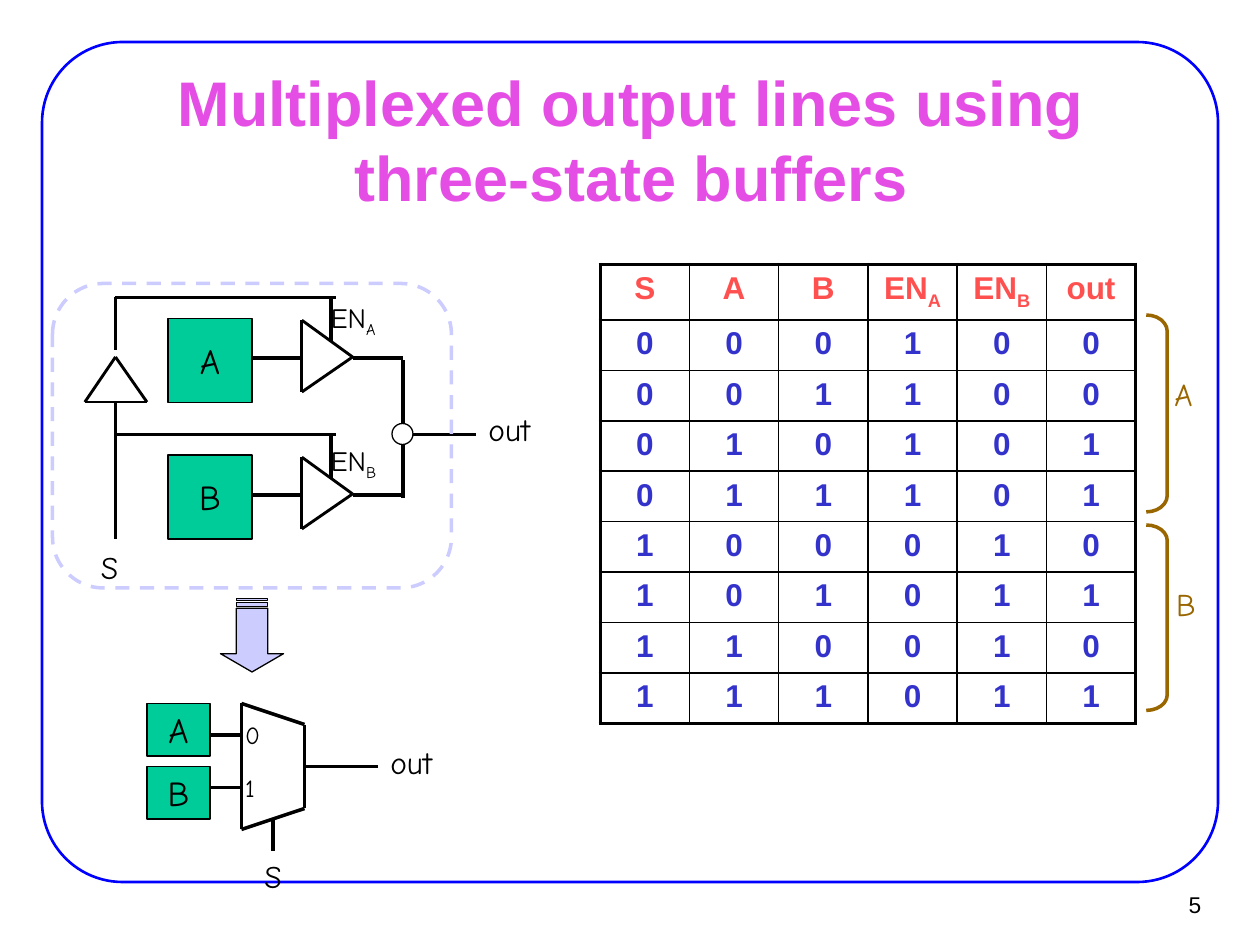
from pptx import Presentation
from pptx import util as u
from pptx.dml import color
from pptx.enum import dml, shapes, text
from pptx.oxml import parse_xml
from pptx.oxml.ns import nsdecls

Pt = u.Pt
Kind = shapes.MSO_SHAPE
Mid = text.MSO_ANCHOR.MIDDLE
Left, Mean, Right = text.PP_ALIGN.LEFT, text.PP_ALIGN.CENTER, text.PP_ALIGN.RIGHT


def ink(fill, tone):
    if tone:
        fill.solid()
        fill.fore_color.rgb = color.RGBColor.from_string(tone)
    else:
        fill.background()


def write(frame, words, size=18, face="Comic Neue", tone="000000", bold=False, align=Left):
    para = frame.paragraphs[0]
    para.alignment = align
    for n, part in enumerate(words.split("_")):
        run = para.add_run()
        run.text = part
        run.font.size = Pt(size)
        run.font.name = face
        run.font.bold = bold
        ink(run.font.fill, tone)
        if n:
            run.font._element.set("baseline", "-25000")


deck = Presentation()
deck.slide_width, deck.slide_height = Pt(720), Pt(540)
slide = deck.slides.add_slide(deck.slide_layouts[5])
pool = slide.shapes

title = pool.title
title.left, title.top, title.width, title.height = Pt(54.5), Pt(47.5), Pt(612), Pt(63.5)
frame = title.text_frame
frame.word_wrap = True
frame.auto_size = text.MSO_AUTO_SIZE.NONE
frame.vertical_anchor = Mid
write(frame, "Multiplexed output lines using three-state buffers",
      size=36, face="Arial", tone="E44EE4", bold=True, align=Mean)

wires = [
    (272, 248.25, 230.25, 248.25),
    (230.25, 284.5, 230.25, 206),
    (66, 308, 66, 230),
    (66, 200, 66, 170),
    (216, 438, 174, 438),
    (156, 486, 156, 468),
    (138, 450, 120, 450),
    (138, 420, 120, 420),
]
edges = []
for drop in (0, 78.25):
    wires += [
        (172.5, 204.5 + drop, 144, 204.5 + drop),
        (230.25, 204.5 + drop, 201.5, 204.5 + drop),
        (189.25, 170 + drop, 189.25, 195 + drop),
        (192, 170 + drop, 66, 170 + drop),
    ]
    edges.append((1.63, [(172.5, 224 + drop), (201.5, 204 + drop), (172.5, 183 + drop)]))
edges.append((1.63, [(84, 229.75), (66, 204), (48.5, 229.75)]))
edges.append((2, [(138, 474), (138, 402), (174, 414), (174, 462)]))

lines = [(2, wire) for wire in wires]
for wide, ring in edges:
    lines += [(wide, a + b) for a, b in zip(ring, ring[1:] + ring[:1])]
for wide, ends in lines:
    wire = pool.add_connector(shapes.MSO_CONNECTOR.STRAIGHT, *map(Pt, ends))
    wire.line.width = Pt(wide)
    ink(wire.line.fill, "000000")
    wire._element.spPr.append(parse_xml(f"<a:effectLst {nsdecls('a')}/>"))

green, lilac, brown, black = "00CC99", "CCCCFF", "996600", "000000"
forms = [
    (Kind.ROUNDED_RECTANGLE, (24, 24, 672, 480), [0.096], None, "0000FF", 1.5, ""),
    (Kind.ROUNDED_RECTANGLE, (30, 162, 228, 174), [0.167], None, lilac, 2, ""),
    (Kind.RECTANGLE, (96, 182, 48, 48), [], green, black, 0.75, "A"),
    (Kind.RECTANGLE, (96, 260, 48, 48), [], green, black, 0.75, "B"),
    (Kind.RECTANGLE, (84, 402, 36, 30), [], green, black, 0.75, "A"),
    (Kind.RECTANGLE, (84, 438, 36, 30), [], green, black, 0.75, "B"),
    (Kind.OVAL, (224, 242, 12, 12), [], "FFFFFF", black, 0.75, ""),
    (Kind.STRIPED_RIGHT_ARROW, (123, 345, 42, 36), [0.5, 0.29], lilac, black, 0.75, ""),
    (Kind.RIGHT_BRACKET, (655, 180, 12, 112.5), [0.78], None, brown, 2, ""),
    (Kind.RIGHT_BRACKET, (655, 300, 12, 106), [0.74], None, brown, 2, ""),
]
for kind, area, bends, fill, edge, wide, words in forms:
    form = pool.add_shape(kind, *map(Pt, area))
    form.shadow.inherit = False
    for n, bend in enumerate(bends):
        form.adjustments[n] = bend
    ink(form.fill, fill)
    ink(form.line.fill, edge)
    form.line.width = Pt(wide)
    if kind == Kind.STRIPED_RIGHT_ARROW:
        form.rotation = 90
    if edge == lilac:
        form.line.dash_style = dml.MSO_LINE.DASH
    if words:
        form.text_frame.word_wrap = False
        form.text_frame.vertical_anchor = Mid
        write(form.text_frame, words, size=20, align=Mean)

tags = [
    ("out", (272, 231, 42, 29), {}),
    ("out", (216, 421, 42, 29), {}),
    ("EN_A", (182, 168, 45, 26.5), {"size": 16}),
    ("EN_B", (182, 250, 44, 26.5), {"size": 16}),
    ("S", (50.5, 309.5, 27, 29), {}),
    ("S", (144, 486, 27, 29), {}),
    ("0", (133, 408, 23, 24), {"size": 14}),
    ("1", (133, 438, 21, 24), {"size": 14}),
    ("A", (664, 211, 27, 29), {"tone": brown}),
    ("B", (665, 331, 26, 29), {"tone": brown}),
    ("5", (649.5, 503.5, 44, 26.5), {"size": 13, "face": "Arial", "align": Right}),
]
for words, area, look in tags:
    box = pool.add_textbox(*map(Pt, area))
    box.text_frame.word_wrap = False
    box.text_frame.auto_size = text.MSO_AUTO_SIZE.SHAPE_TO_FIT_TEXT
    write(box.text_frame, words, **look)
    if words == "5":
        box.text_frame.vertical_anchor = Mid

rows = [["S", "A", "B", "EN_A", "EN_B", "out"]]
for n in range(8):
    s, a, b = n >> 2, n >> 1 & 1, n & 1
    rows.append([str(v) for v in (s, a, b, 1 - s, s, b if s else a)])

grid = pool.add_table(9, 6, Pt(343), Pt(151), Pt(306), Pt(262)).table
grid.first_row = grid.horz_banding = False
for col in grid.columns:
    col.width = Pt(51)
for r, row in enumerate(rows):
    grid.rows[r].height = Pt(28.8 if r else 31.5)
    for c, words in enumerate(row):
        cell = grid.cell(r, c)
        cell.margin_left = cell.margin_right = Pt(7.2)
        cell.margin_top = cell.margin_bottom = Pt(3.6)
        write(cell.text_frame, words, face="Arial", bold=True, align=Mean,
              tone="3333CC" if r else "FF5050")
        props = cell._tc.get_or_add_tcPr()
        for side, rim in (("L", c == 0), ("R", c == 5), ("T", r == 0), ("B", r == 8)):
            props.append(parse_xml(
                f'<a:ln{side} {nsdecls("a")} w="{Pt(2.25 if rim else 1)}"><a:solidFill>'
                f'<a:srgbClr val="{black}"/></a:solidFill></a:ln{side}>'))
        ink(cell.fill, None)

deck.save("out.pptx")
